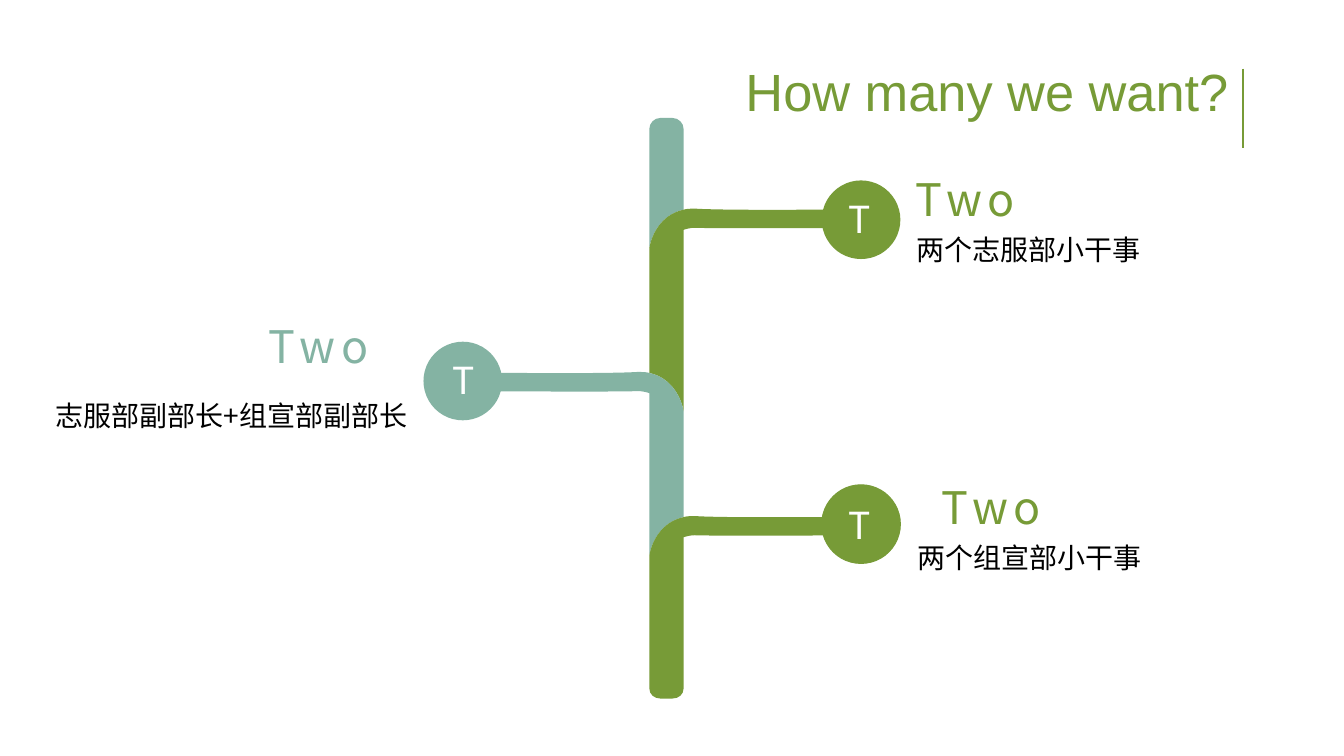
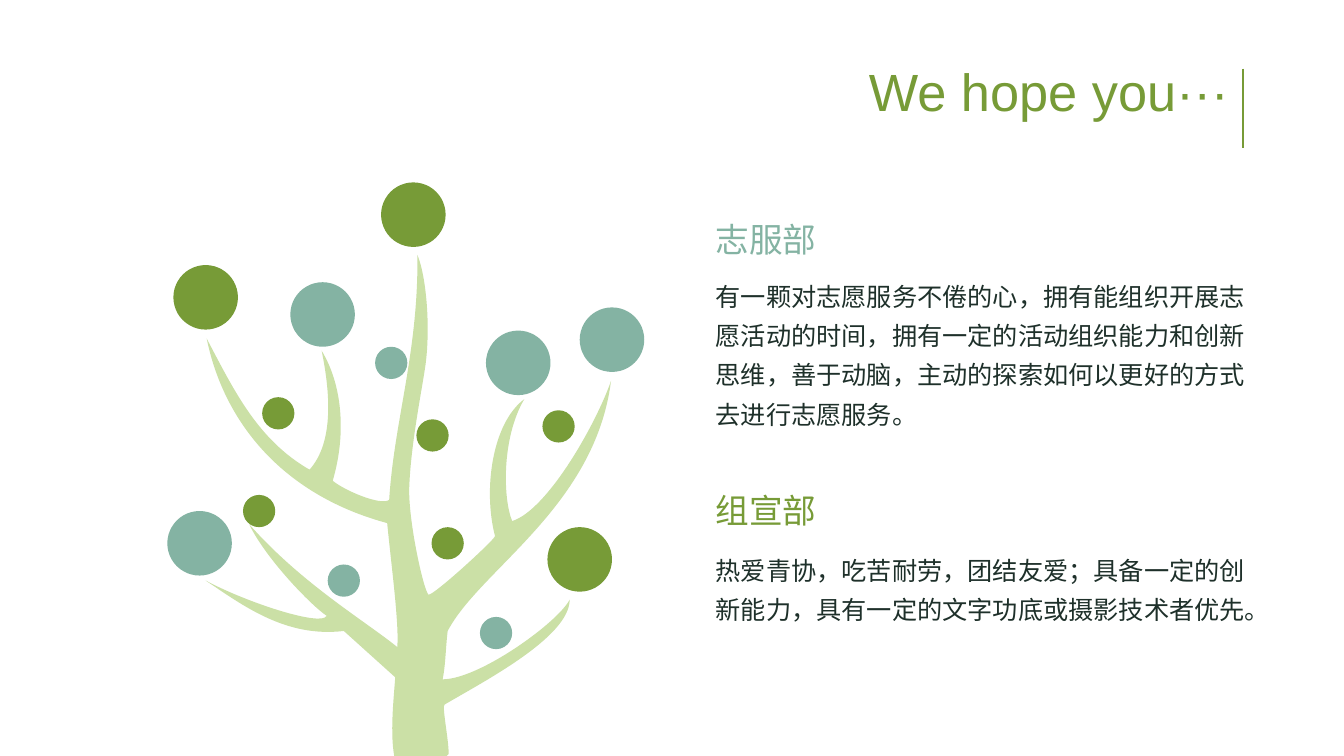
"""Build two recruitment slides: a branching stem and a tree with requirements."""
from lxml.etree import SubElement
from pptx import Presentation
from pptx.dml.color import RGBColor
from pptx.enum.shapes import MSO_CONNECTOR, MSO_SHAPE
from pptx.enum.text import MSO_ANCHOR, MSO_AUTO_SIZE, PP_ALIGN
from pptx.oxml.ns import qn
from pptx.util import Inches, Pt

GREEN = RGBColor(0x77, 0x9B, 0x37)
TEAL = RGBColor(0x84, 0xB3, 0xA3)
LEAF = RGBColor(0xCB, 0xE0, 0xA6)
INK = RGBColor(0x1E, 0x30, 0x2A)
BLACK = RGBColor(0, 0, 0)
WHITE = RGBColor(0xFF, 0xFF, 0xFF)
LATIN, CJK = "Arial", "Noto Sans CJK SC"
LEFT, CENTER, RIGHT = PP_ALIGN.LEFT, PP_ALIGN.CENTER, PP_ALIGN.RIGHT

TITLE_RIGHT = 12.29
STEM_X, STEM_HALF, STEM_TOP, STEM_BOTTOM = 6.61, 0.17, 1.17, 6.93
KNOB = 0.78
BRANCHES = [
    {"color": GREEN, "side": 1, "top": 2.07, "knob": (8.15, 1.79), "letter": (8.32, 1.9),
     "heading": (8.98, 1.65), "heading_align": LEFT,
     "caption": ("两个志服部小干事", (8.99, 2.09, 2.88, 0.61), LEFT)},
    {"color": TEAL, "side": -1, "top": 3.69, "knob": (4.2, 3.39), "letter": (4.39, 3.5),
     "heading": (2.54, 3.11), "heading_align": CENTER,
     "caption": ("志服部副部长+组宣部副部长", (0.22, 3.74, 3.92, 0.61), RIGHT)},
    {"color": GREEN, "side": 1, "top": 5.12, "knob": (8.15, 4.81), "letter": (8.32, 4.93),
     "heading": (9.21, 4.71), "heading_align": CENTER, "outlined": True,
     "caption": ("两个组宣部小干事", (9, 5.15, 2.88, 0.61), LEFT)},
]

DEPARTMENTS = [
    ("志服部", TEAL, 2.12, 2.65, 1.68,
     "有一颗对志愿服务不倦的心，拥有能组织开展志愿活动的时间，拥有一定的活动组织能力和创新思维，"
     "善于动脑，主动的探索如何以更好的方式去进行志愿服务。"),
    ("组宣部", GREEN, 4.81, 5.37, 0.89,
     "热爱青协，吃苦耐劳，团结友爱；具备一定的创新能力，具有一定的文字功底或摄影技术者优先。"),
]

FRUITS = {
    0.64: [(3.78, 1.81, GREEN), (5.75, 3.05, TEAL), (1.72, 2.63, GREEN), (1.66, 5.07, TEAL),
           (5.43, 5.23, GREEN), (4.82, 3.28, TEAL), (2.88, 2.8, TEAL)],
    0.32: [(4.13, 4.16, GREEN), (5.38, 4.07, GREEN), (3.72, 3.44, TEAL), (2.6, 3.94, GREEN),
           (2.41, 4.91, GREEN), (3.25, 5.6, TEAL), (4.28, 5.23, GREEN), (4.76, 6.12, TEAL)],
}

TREE = [
    (3.91, 7.5), (3.87, 7.27, 3.9, 6.98, 3.92, 6.72), (3.41, 6.26),
    (2.83, 6.33, 2.4, 6, 2.04, 5.76), (2.45, 5.98, 3.19, 6.22, 3.24, 6.11),
    (3.09, 6.01, 2.64, 5.55, 2.47, 5.2), (2.99, 5.79, 3.62, 6.16, 3.94, 6.42),
    (3.96, 6.19, 3.88, 5.6, 3.84, 5.19), (2.84, 4.92, 2.23, 4.23, 2.05, 3.36),
    (2.32, 3.87, 2.55, 4.36, 3.07, 4.66), (3.32, 4.38, 3.27, 3.87, 3.19, 3.48),
    (3.39, 3.81, 3.44, 4.29, 3.3, 4.77), (3.42, 4.87, 3.78, 5.02, 3.86, 4.96),
    (3.91, 4.17, 4.15, 3.5, 4.14, 2.53), (4.23, 2.75, 4.27, 3.25, 4.22, 3.62),
    (4.19, 3.84, 4.08, 4.37, 4.06, 4.81), (4.04, 5.13, 4.2, 5.86, 4.25, 5.9),
    (4.3, 5.91, 4.89, 5.37, 4.91, 5.32), (4.79, 4.86, 4.88, 4.2, 5.2, 3.96),
    (4.97, 4.35, 4.99, 4.96, 5.08, 5.17), (5.43, 5.06, 5.91, 4.21, 6.06, 3.78),
    (5.9, 5.03, 4.76, 5.65, 4.44, 6.26), (4.42, 6.42, 4.42, 6.59, 4.39, 6.74),
    (4.75, 6.74, 5.53, 6.18, 5.65, 5.95), (5.65, 6.32, 4.8, 6.76, 4.41, 6.99),
    (4.38, 7, 4.45, 7.33, 4.45, 7.48), (4.44, 7.48, 4.44, 7.5, 4.43, 7.5),
]


def cut_end(drop):
    """Return the lower end that fits the bend of the next branch."""
    w = STEM_HALF
    return [(-w, drop + 0.01), (0.06, drop + 0.06, 0.15, drop + 0.27, w, drop + 0.39)]


def round_end(drop):
    """Return the rounded foot of the stem."""
    w = STEM_HALF
    return [(-w, drop - 0.1), (-w, drop - 0.04, -0.12, drop, -0.06, drop), (0.06, drop),
            (0.12, drop, w, drop - 0.04, w, drop - 0.1)]


def crown_outline(drop):
    """Return the rounded top of the stem."""
    w = STEM_HALF
    return [(w, 0.11), (w, 0.05, 0.12, 0, 0.06, 0), (-0.06, 0),
            (-0.12, 0, -w, 0.05, -w, 0.11), *cut_end(drop)]


def branch_outline(end):
    """Return a right-hand branch, measured from the stem's axis and the arm's top."""
    w = STEM_HALF
    return [
        (1.92, 0), (1.91, 0.01, 0.59, 0.02, 0.29, 0), (0.24, 0, 0.2, 0, w, 0.01),
        (-0.06, 0.06, -0.15, 0.27, -w, 0.39), *end, (w, 0.21),
        (0.2, 0.2, 0.24, 0.19, 0.28, 0.19), (0.59, 0.2, 1.87, 0.19, 1.93, 0.19),
        (1.98, 0.19, 2.02, 0.15, 2.02, 0.1), (2.02, 0.04, 1.98, 0, 1.92, 0),
    ]


def place_on_stem(outline, side, top):
    return [tuple(top + v if i % 2 else STEM_X + side * v for i, v in enumerate(part))
            for part in outline]


def paint(shape, color):
    shape.shadow.inherit = False
    shape.fill.solid()
    shape.fill.fore_color.rgb = color
    shape.line.fill.background()
    return shape


def add_outline(page, outline, color):
    """Draw lines (2 numbers) and cubic curves (6 numbers) as one closed shape."""
    ends = [(Inches(part[-2]), Inches(part[-1])) for part in outline]
    builder = page.shapes.build_freeform(*ends[0], scale=1.0)
    builder.add_line_segments(ends[1:], close=True)
    shape = builder.convert_to_shape()
    segments = list(shape._element.iter(qn("a:lnTo")))
    for segment, part in zip(segments, outline[1:]):
        if len(part) == 6:
            segment.tag = qn("a:cubicBezTo")
            segment.clear()
            for x, y in zip(part[::2], part[1::2]):
                point = SubElement(segment, qn("a:pt"))
                point.set("x", str(Inches(x) - shape.left))
                point.set("y", str(Inches(y) - shape.top))
    return paint(shape, color)


def add_circle(page, left, top, size, color):
    return paint(page.shapes.add_shape(MSO_SHAPE.OVAL, *map(Inches, (left, top, size, size))),
                 color)


def add_text(page, place, text, size, color, font=CJK, align=LEFT, leading=None,
             tracking=0, wrap=True):
    frame = page.shapes.add_textbox(*map(Inches, place)).text_frame
    frame.word_wrap = wrap
    frame.auto_size = MSO_AUTO_SIZE.SHAPE_TO_FIT_TEXT
    para = frame.paragraphs[0]
    para.alignment = align
    if leading:
        para.line_spacing = leading
    span = para.add_run()
    span.text = text
    span.font.size, span.font.name = Pt(size), font
    span.font.color.rgb = color
    props = span.font._element
    SubElement(props, qn("a:ea")).set("typeface", font)
    if tracking:
        props.set("spc", str(tracking * 100))
    return frame


def add_page(deck, title, left):
    page = deck.slides.add_slide(deck.slide_layouts[6])
    frame = add_text(page, (left, 0.6, TITLE_RIGHT - left, 0.67), title, 37.4, GREEN,
                     font=LATIN, align=RIGHT, leading=0.9)
    frame.auto_size = MSO_AUTO_SIZE.NONE
    frame.vertical_anchor = MSO_ANCHOR.MIDDLE
    rule = page.shapes.add_connector(
        MSO_CONNECTOR.STRAIGHT, *map(Inches, (12.33, 0.68, 12.33, 1.47)))
    rule.line.color.rgb = GREEN
    rule.line.width = Pt(1.5)
    SubElement(rule._element.spPr, qn("a:effectLst"))
    return page


def build_stem(deck):
    page = add_page(deck, "How many we want?", 6.82)
    crown = crown_outline(BRANCHES[0]["top"] - STEM_TOP)
    add_outline(page, place_on_stem(crown, -1, STEM_TOP), TEAL)
    for branch, below in zip(BRANCHES, BRANCHES[1:] + [None]):
        top = branch["top"]
        end = cut_end(below["top"] - top) if below else round_end(STEM_BOTTOM - top)
        add_outline(page, place_on_stem(branch_outline(end), branch["side"], top),
                    branch["color"])
    for branch in BRANCHES:
        color = branch["color"]
        add_text(page, (*branch["heading"], 1.24, 0.64), "Two", 32, color, wrap=False,
                 align=branch["heading_align"], tracking=4)
        text, place, align = branch["caption"]
        add_text(page, place, text, 20, BLACK, align=align, leading=1.5)
        knob = add_circle(page, *branch["knob"], KNOB, color)
        if branch.get("outlined"):
            knob.line.color.rgb = color
            knob.line.width = Pt(0.75)
        add_text(page, (*branch["letter"], 0.42, 0.55), "T", 26.6, WHITE, wrap=False,
                 align=CENTER)


def build_tree(deck):
    page = add_page(deck, "We hope you···", 7.19)
    for name, color, name_top, body_top, body_height, body in DEPARTMENTS:
        add_text(page, (7, body_top, 5.54, body_height), body, 18, INK, leading=1.3)
        add_text(page, (7, name_top, 1.21, 0.5), name, 24, color, wrap=False)
    add_outline(page, TREE, LEAF)
    for size, fruits in FRUITS.items():
        for left, top, color in fruits:
            add_circle(page, left, top, size, color)


def main():
    deck = Presentation()
    deck.slide_width, deck.slide_height = Inches(13.33), Inches(7.5)
    build_stem(deck)
    build_tree(deck)
    deck.save("out.pptx")


if __name__ == "__main__":
    main()
